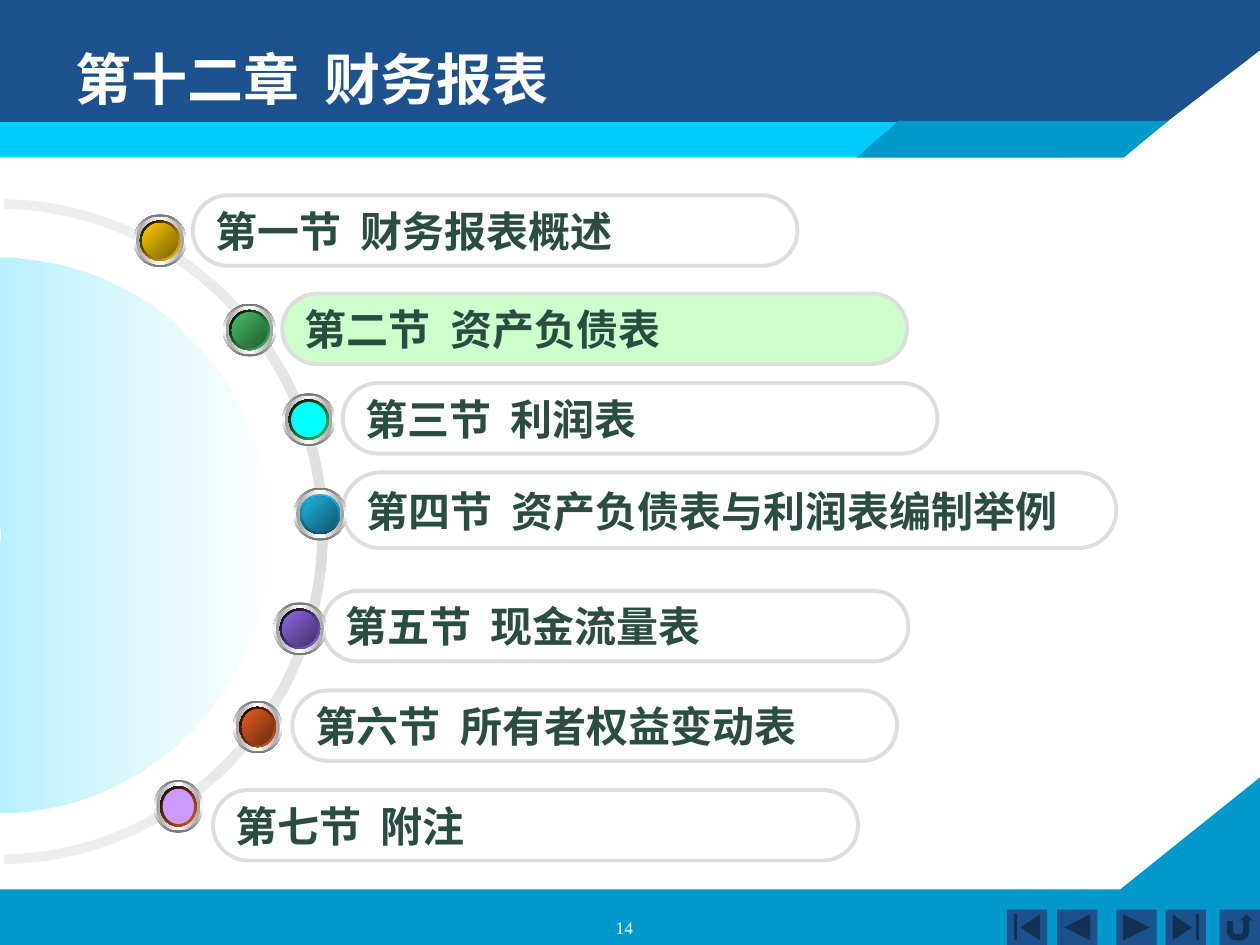
import pptx
import pptx.dml.color
import pptx.enum.shapes
import pptx.enum.text
import pptx.oxml
import pptx.oxml.ns
import pptx.util
from pptx.util import Inches

SHAPE = pptx.enum.shapes.MSO_SHAPE
NAVY, BLUE, CYAN = "1D518D", "0099CB", "00CCFF"
INK, EDGE, WHITE = "2A4C41", "DDDDDD", "FFFFFF"

# Label, left, top, width, height, fill
SECTIONS = [
    ("第四节  资产负债表与利润表编制举例", 2.72, 3.75, 6.14, 0.6, None),
    ("第六节  所有者权益变动表", 2.32, 5.48, 4.8, 0.56, None),
    ("第五节  现金流量表", 2.56, 4.69, 4.65, 0.56, None),
    ("第二节  资产负债表", 2.24, 2.33, 4.96, 0.56, "CCFFCC"),
    ("第一节  财务报表概述", 1.53, 1.55, 4.8, 0.56, None),
    ("第三节  利润表", 2.72, 3.04, 4.72, 0.56, None),
    ("第七节  附注", 1.69, 6.27, 5.12, 0.56, None),
]

# Left, top, width, rim colours, rim angle, face colours
BEADS = [
    (1.06, 1.7, 0.42, ("FFCC00", "000000"), 225, ("7B6200", "FFCC00")),
    (1.77, 2.41, 0.42, ("48BE67", "000000"), 225, ("225C31", "48BE67")),
    (2.33, 3.87, 0.42, ("21B3E1", "0F5267"), 90, ("0F566C", "21B3E1")),
    (2.17, 4.78, 0.42, ("8D67E1", "000000"), 225, ("44316C", "8D67E1")),
    (1.85, 5.56, 0.39, ("E35E23", "000000"), 225, ("6D2D10", "E35E23")),
    (2.24, 3.12, 0.42, ("48BE67", "000000"), 225, ("00FFFF",)),
    (1.22, 6.19, 0.39, ("E35E23", "000000"), 225, ("CC99FF",)),
]

NAV_BUTTONS = [
    (SHAPE.ACTION_BUTTON_BACK_OR_PREVIOUS, 8.39),
    (SHAPE.ACTION_BUTTON_BEGINNING, 7.99),
    (SHAPE.ACTION_BUTTON_FORWARD_OR_NEXT, 8.86),
    (SHAPE.ACTION_BUTTON_END, 9.25),
    (SHAPE.ACTION_BUTTON_RETURN, 9.68),
]


def rgb(value):
    return pptx.dml.color.RGBColor.from_string(value)


def fill_gradient(shape, colours, angle, alphas=None):
    """Spread the colours evenly along a clockwise angle."""
    alphas = alphas or [100] * len(colours)
    stops = "".join(
        f'<a:gs pos="{100000 * i // (len(colours) - 1)}"><a:srgbClr val="{colour}">'
        f'<a:alpha val="{alpha * 1000}"/></a:srgbClr></a:gs>'
        for i, (colour, alpha) in enumerate(zip(colours, alphas))
    )
    gradient = pptx.oxml.parse_xml(
        f'<a:gradFill {pptx.oxml.ns.nsdecls("a")} rotWithShape="1">'
        f'<a:gsLst>{stops}</a:gsLst><a:lin ang="{angle * 60000}" scaled="0"/></a:gradFill>'
    )
    geometry = shape.element.spPr.find(pptx.oxml.ns.qn("a:prstGeom"))
    geometry.addnext(gradient)


def paint(shape, colours, angle=0, alphas=None):
    """Fill without outline: no colour, one colour or a gradient."""
    shape.shadow.inherit = False
    shape.line.fill.background()
    if len(colours) > 1:
        fill_gradient(shape, colours, angle, alphas)
    elif colours:
        shape.fill.solid()
        shape.fill.fore_color.rgb = rgb(colours[0])
    else:
        shape.fill.background()


def add_preset(page, kind, left, top, width, height, colours, angle=0, alphas=None):
    shape = page.shapes.add_shape(
        kind, Inches(left), Inches(top), Inches(width), Inches(height))
    paint(shape, colours, angle, alphas)
    return shape


def add_outline(page, points, colour):
    corners = [(Inches(x), Inches(y)) for x, y in points]
    builder = page.shapes.build_freeform(*corners[0])
    builder.add_line_segments(corners[1:], close=True)
    paint(builder.convert_to_shape(), [colour])


def add_half_ring(page, box, thickness, colours, angle, alphas=None):
    """Right half of a ring; the angle handles are in units of 100000/60000 degree."""
    ring = add_preset(page, SHAPE.BLOCK_ARC, *box, colours, angle, alphas)
    for i, value in enumerate(thickness):
        ring.adjustments[i] = value


def write(box, text, size, font, colour, bold=False):
    para = box.text_frame.paragraphs[0]
    para.text = text
    para.font.size = pptx.util.Pt(size)
    para.font.name = font
    para.font.bold = bold
    para.font.color.rgb = rgb(colour)
    return para


def add_text(page, left, top, width, height, *style):
    box = page.shapes.add_textbox(
        Inches(left), Inches(top), Inches(width), Inches(height))
    box.text_frame.word_wrap = True
    return write(box, *style)


def add_section(page, label, left, top, width, height, fill):
    pill = add_preset(page, SHAPE.ROUNDED_RECTANGLE, left, top, width, height,
                      [fill] if fill else [])
    pill.adjustments[0] = 0.5
    pill.line.color.rgb = rgb(EDGE)
    pill.line.width = pptx.util.Pt(2.25)
    pill.text_frame.word_wrap = False
    pill.text_frame.vertical_anchor = pptx.enum.text.MSO_ANCHOR.MIDDLE
    para = write(pill, label, 24, "Arial", INK, True)
    para.alignment = pptx.enum.text.PP_ALIGN.LEFT


def add_bead(page, left, top, width, rim, rim_angle, face):
    layers = [
        (0, ("757575", WHITE, "757575"), 90),
        (0.02, ("A1A1A1", WHITE, "A1A1A1"), 180),
        (0.05, rim, rim_angle),
        (0.07, face, 225),
    ]
    for inset, colours, angle in layers:
        add_preset(page, SHAPE.OVAL, left + inset, top + inset,
                   width - 2 * inset, 0.42 - 2 * inset, colours, angle)


def add_frame(page):
    """Header bands, footer and navigation buttons."""
    add_outline(page, [(0, 7.06), (8.89, 7.06), (10, 6.17), (10, 7.5), (0, 7.5)], BLUE)
    add_outline(page, [(0, 0), (10, 0), (10, 0.4), (8.92, 1.23), (0, 1.24)], NAVY)
    add_preset(page, SHAPE.RECTANGLE, 0, 0.97, 8.44, 0.28, [CYAN])
    add_outline(page, [(6.8, 1.25), (8.92, 1.25), (9.27, 0.96), (7.13, 0.96)], BLUE)
    for kind, left in NAV_BUTTONS:
        add_preset(page, kind, left, 7.22, 0.32, 0.28, [NAVY])


def main():
    deck = pptx.Presentation()
    deck.slide_width, deck.slide_height = Inches(10), Inches(7.5)
    page = deck.slides.add_slide(deck.slide_layouts[6])
    add_frame(page)
    add_half_ring(page, (-2.62, 1.58, 5.22, 5.28), (162.52, 53.48, 0.015),
                  ("EEEEEE", EDGE, "EEEEEE"), 90)
    add_half_ring(page, (-2.15, 2.04, 4.3, 4.41), (162, 54, 0.497),
                  (CYAN, "FEFEFE"), 0, (56, 48))
    add_text(page, 0.5, 0.3, 9, 1.25, "第十二章  财务报表", 32, "DejaVu Sans", WHITE, True)
    for section in SECTIONS:
        add_section(page, *section)
    for bead in BEADS:
        add_bead(page, *bead)
    number = add_text(page, 3.79, 7.23, 2.33, 0.18, "14", 10, "Times New Roman", WHITE)
    number.alignment = pptx.enum.text.PP_ALIGN.CENTER
    deck.save("out.pptx")


if __name__ == "__main__":
    main()
